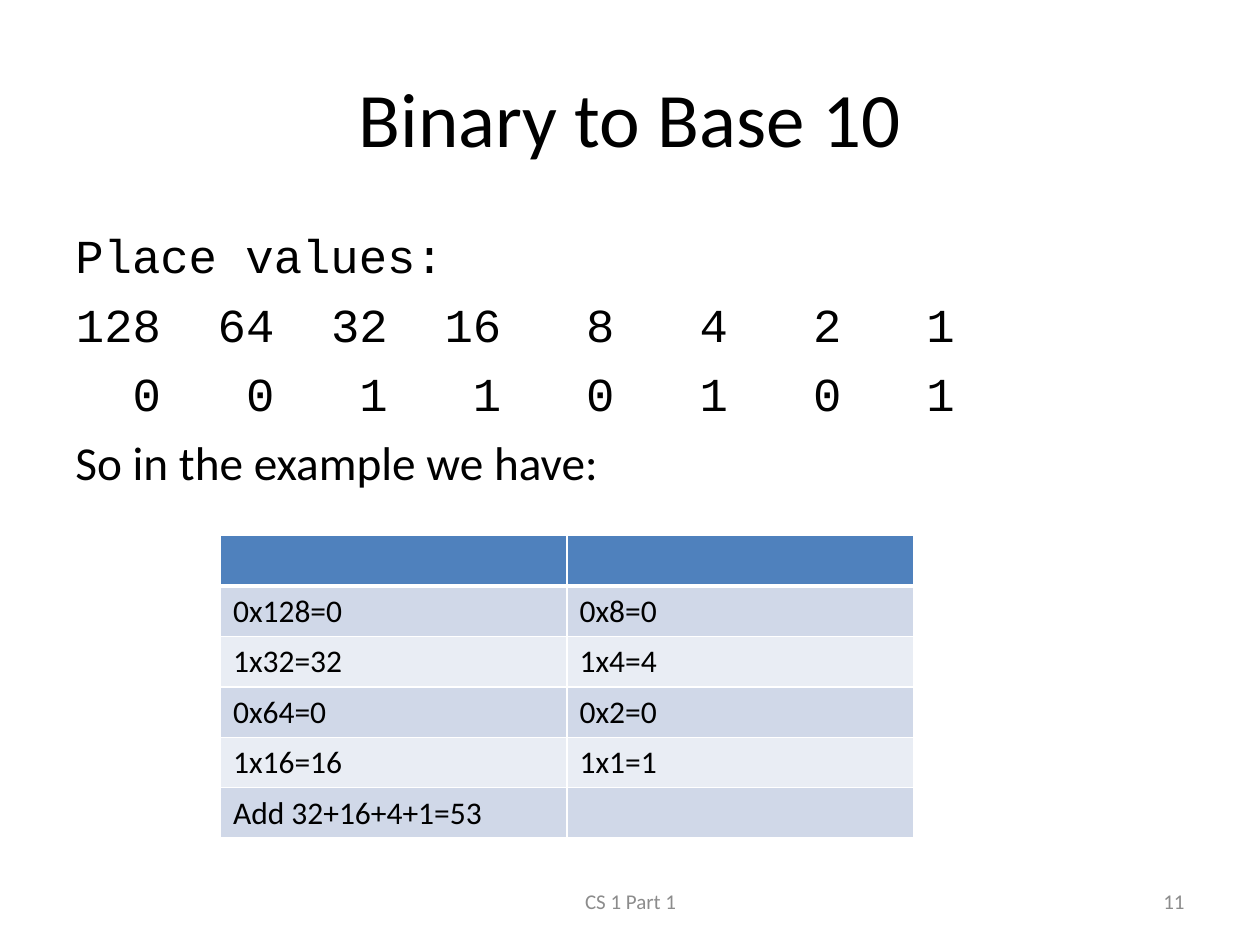
from lxml import etree
from pptx import Presentation
from pptx.dml.color import RGBColor
from pptx.enum.text import MSO_ANCHOR, PP_ALIGN
from pptx.oxml.ns import qn
from pptx.util import Inches, Pt

LEFT, MID, RIGHT = PP_ALIGN.LEFT, PP_ALIGN.CENTER, PP_ALIGN.RIGHT
TOP, CENTER = MSO_ANCHOR.TOP, MSO_ANCHOR.MIDDLE
BLACK = RGBColor(0x00, 0x00, 0x00)
WHITE = RGBColor(0xFF, 0xFF, 0xFF)
GREY = RGBColor(0x8C, 0x8C, 0x8C)
BLUE = RGBColor(0x4F, 0x81, 0xBD)
BANDS = (RGBColor(0xE9, 0xED, 0xF4), RGBColor(0xD0, 0xD8, 0xE8))
SANS, MONO = "Calibri", "Courier New"

BITS = "00110101"
SUMS = [
    ("", ""),
    ("0x128=0", "0x8=0"),
    ("1x32=32", "1x4=4"),
    ("0x64=0", "0x2=0"),
    ("1x16=16", "1x1=1"),
    ("Add 32+16+4+1=53", ""),
]


def add_run(para, text, size, font=SANS, color=BLACK):
    """Add one styled run to a paragraph."""
    run = para.add_run()
    run.text = text
    run.font.size = Pt(size)
    run.font.name = font
    run.font.color.rgb = color


def add_box(slide, left, top, width, height, anchor=CENTER):
    """Add a wrapping text box and return its frame."""
    box = slide.shapes.add_textbox(
        Inches(left), Inches(top), Inches(width), Inches(height))
    frame = box.text_frame
    frame.word_wrap = True
    frame.vertical_anchor = anchor
    return frame


def add_label(slide, text, place, size, align, color=BLACK):
    """Add a text box that holds a single line."""
    para = add_box(slide, *place).paragraphs[0]
    para.alignment = align
    add_run(para, text, size, color=color)


def add_tabs(para, count, first, step):
    """Set evenly spaced right-aligned tab stops."""
    tabs = etree.SubElement(para._p.get_or_add_pPr(), qn("a:tabLst"))
    for i in range(count):
        pos = str(Inches(first + i * step))
        etree.SubElement(tabs, qn("a:tab"), pos=pos, algn="r")


def add_body(slide):
    """Add the place values, the bits and the lead-in to the table."""
    frame = add_box(slide, 0.5, 1.75, 9, 4.95, TOP)
    count = len(BITS)
    places = [str(2 ** i) for i in reversed(range(count))]
    lines = [
        ("Place values:", MONO),
        ("\t" + "\t".join(places), MONO),
        ("\t" + "\t".join(BITS), MONO),
        ("So in the example we have:", SANS),
    ]
    for i, (text, font) in enumerate(lines):
        para = frame.add_paragraph() if i else frame.paragraphs[0]
        para.alignment = LEFT
        para.space_before = Pt(7)
        if "\t" in text:
            add_tabs(para, count, 0.68, 0.9)
        add_run(para, text, 27, font)


def set_edges(cell, top, bottom):
    """Draw white cell borders; top and bottom widths are in points."""
    props = cell._tc.get_or_add_tcPr()
    sides = (("L", 1), ("R", 1), ("T", top), ("B", bottom))
    for i, (side, width) in enumerate(sides):
        line = etree.Element(qn("a:ln" + side), w=str(Pt(width)))
        fill = etree.SubElement(line, qn("a:solidFill"))
        etree.SubElement(fill, qn("a:srgbClr"), val=str(WHITE))
        props.insert(i, line)


def add_sums(slide):
    """Add the table of products with a header and banded rows."""
    table = slide.shapes.add_table(
        len(SUMS), 2, Inches(1.75), Inches(4.25),
        Inches(5.5), Inches(2.4)).table
    for r, row in enumerate(SUMS):
        for c, text in enumerate(row):
            cell = table.cell(r, c)
            cell.fill.solid()
            cell.fill.fore_color.rgb = BANDS[r % 2] if r else BLUE
            set_edges(cell, 3 if r == 1 else 1, 1 if r else 3)
            if text:
                add_run(cell.text_frame.paragraphs[0], text, 18)


def main():
    """Build the slide and save it."""
    deck = Presentation()
    deck.slide_width, deck.slide_height = Inches(10), Inches(7.5)
    slide = deck.slides.add_slide(deck.slide_layouts[6])
    add_label(slide, "Binary to Base 10", (0.5, 0.3, 9, 1.25), 44, MID)
    add_body(slide)
    add_label(slide, "CS 1 Part 1", (3.42, 6.95, 3.17, 0.4), 12, MID, GREY)
    add_label(slide, "11", (7.17, 6.95, 2.33, 0.4), 12, RIGHT, GREY)
    add_sums(slide)
    deck.save("out.pptx")


main()
